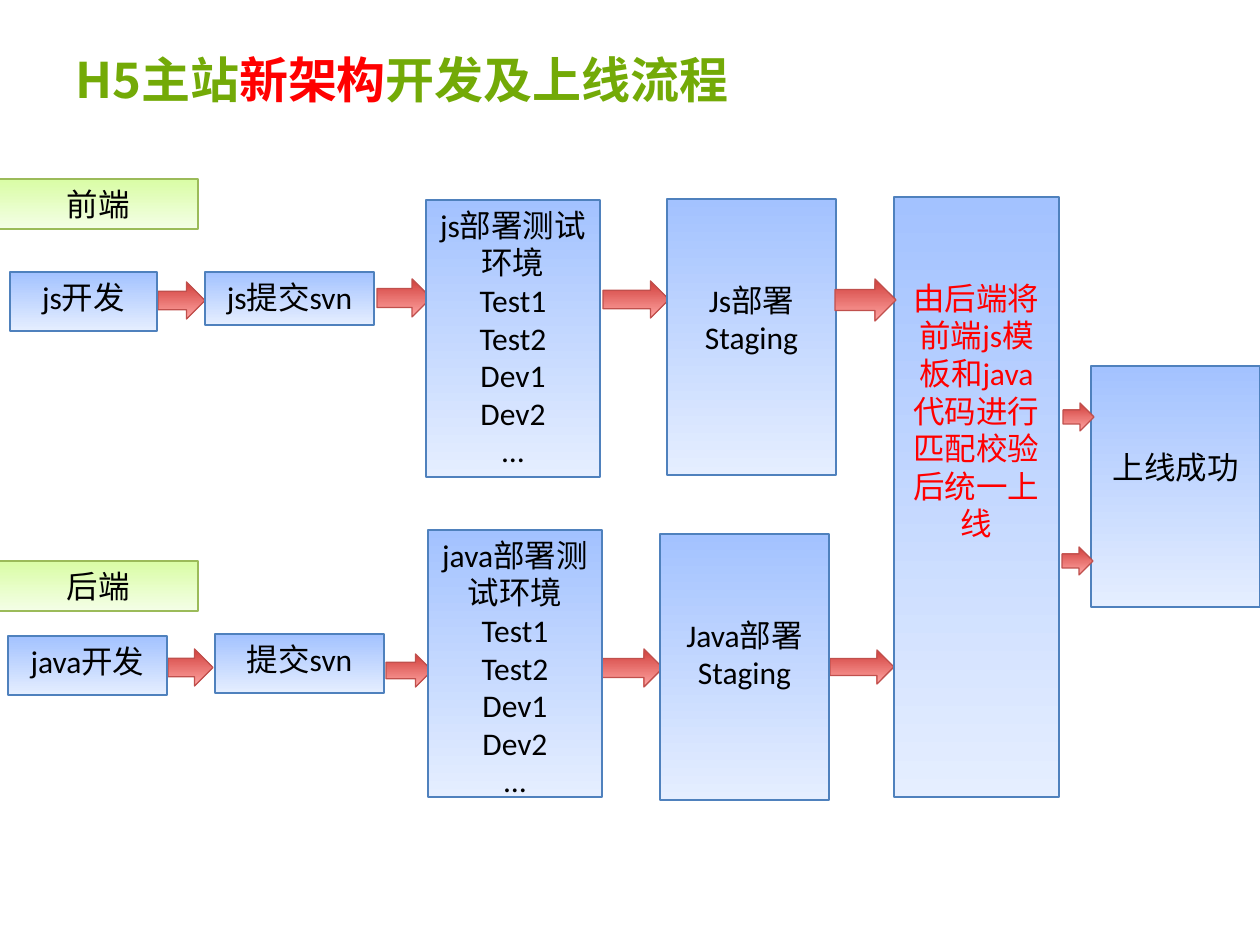
import itertools

import pptx
import pptx.dml.color
import pptx.enum.shapes
import pptx.enum.text
import pptx.oxml
import pptx.oxml.ns
import pptx.util

EMU_PER_PX = 914400 / 126
LATIN, CJK = "Calibri", "Noto Sans CJK SC"
BLACK, RED, GREEN = "000000", "FF0000", "73AA07"
# Gradient top, gradient bottom, outline
BLUE_STYLE = ("A3C2FF", "E5EEFF", "4F81BD")
GREEN_STYLE = ("D9FDA5", "F4FEE6", "9BBB59")
RED_STYLE = ("D13F3B", "FFA5A3", "C0504D")
INSET = 6
LOW_INSET = 82  # text that starts two lines lower

TITLE = [("H5主站", GREEN), ("新架构", RED), ("开发及上线流程", GREEN)]
ENVIRONMENTS = ["Test1", "Test2", "Dev1", "Dev2", "…"]

LABELS = [("前端", (-1, 179, 199, 50)), ("后端", (-1, 561, 199, 50))]

# Lines, place, top inset, text colour
STEPS = [
    (["js开发"], (10, 272, 147, 59), INSET, BLACK),
    (["js提交svn"], (205, 272, 169, 53), INSET, BLACK),
    (["js部署测试环境"] + ENVIRONMENTS, (426, 200, 174, 277), INSET, BLACK),
    (["Js部署Staging"], (667, 199, 169, 276), LOW_INSET, BLACK),
    (["由后端将前端js模板和java代码进行匹配校验后统一上线"],
     (894, 197, 165, 600), LOW_INSET, RED),
    (["java开发"], (8, 636, 159, 59), INSET, BLACK),
    (["提交svn"], (215, 634, 169, 59), INSET, BLACK),
    (["Java部署Staging"], (660, 534, 169, 266), LOW_INSET, BLACK),
    (["上线成功"], (1091, 366, 169, 241), LOW_INSET, BLACK),
    (["java部署测试环境"] + ENVIRONMENTS, (428, 530, 174, 267), INSET, BLACK),
]

ARROWS_BEHIND = [
    (158, 282, 47, 37), (377, 279, 54, 38), (603, 281, 66, 37),
    (168, 649, 45, 37), (386, 654, 46, 33), (597, 649, 66, 38),
    (830, 650, 64, 34),
]
ARROWS_IN_FRONT = [(835, 279, 61, 42), (1063, 403, 31, 28), (1062, 547, 31, 28)]


def px(*lengths):
    return [pptx.util.Emu(round(length * EMU_PER_PX)) for length in lengths]


def color(value):
    return pptx.dml.color.RGBColor.from_string(value)


def is_cjk(character):
    return ord(character) > 0x2E80


def format_run(run, font_name, size, text_color, bold=False):
    run.font.name = font_name
    run.font.size = pptx.util.Pt(size)
    run.font.bold = bold
    run.font.color.rgb = color(text_color)
    east_asian = pptx.oxml.parse_xml(
        f'<a:ea {pptx.oxml.ns.nsdecls("a")} typeface="{CJK}"/>')
    run.font._element.find(pptx.oxml.ns.qn("a:latin")).addnext(east_asian)


def prepare_frame(text_frame, top_inset=INSET):
    text_frame.word_wrap = True
    text_frame.vertical_anchor = pptx.enum.text.MSO_ANCHOR.TOP
    text_frame.margin_top = px(top_inset)[0]


def add_title(slide):
    text_frame = slide.shapes.add_textbox(*px(63, 38, 1134, 87)).text_frame
    prepare_frame(text_frame)
    paragraph = text_frame.paragraphs[0]
    paragraph.line_spacing = pptx.util.Pt(37)
    for text, text_color in TITLE:
        run = paragraph.add_run()
        run.text = text
        format_run(run, CJK, 28, text_color, bold=True)


def add_gradient_shape(slide, preset, place, style):
    top, bottom, outline = style
    shape = slide.shapes.add_shape(preset, *px(*place))
    shape.shadow.inherit = False
    shape.fill.gradient()
    shape.fill.gradient_angle = 270
    for stop, value in zip(shape.fill.gradient_stops, (top, bottom)):
        stop.color.rgb = color(value)
    shape.line.color.rgb = color(outline)
    shape.line.width = pptx.util.Pt(0.75)
    return shape


def add_box(slide, lines, place, style, top_inset=INSET, text_color=BLACK):
    shape = add_gradient_shape(
        slide, pptx.enum.shapes.MSO_SHAPE.RECTANGLE, place, style)
    text_frame = shape.text_frame
    prepare_frame(text_frame, top_inset)
    for index, line in enumerate(lines):
        paragraph = text_frame.add_paragraph() if index else text_frame.paragraphs[0]
        paragraph.alignment = pptx.enum.text.PP_ALIGN.CENTER
        paragraph.line_spacing = pptx.util.Pt(21.5)
        for cjk, characters in itertools.groupby(line, is_cjk):
            run = paragraph.add_run()
            run.text = "".join(characters)
            format_run(run, CJK if cjk else LATIN, 18, text_color)


def add_arrows(slide, places):
    for place in places:
        add_gradient_shape(
            slide, pptx.enum.shapes.MSO_SHAPE.RIGHT_ARROW, place, RED_STYLE)


def main():
    presentation = pptx.Presentation()
    presentation.slide_width, presentation.slide_height = px(1260, 945)
    slide = presentation.slides.add_slide(presentation.slide_layouts[6])
    add_title(slide)
    add_arrows(slide, ARROWS_BEHIND)
    for text, place in LABELS:
        add_box(slide, [text], place, GREEN_STYLE)
    for lines, place, top_inset, text_color in STEPS:
        add_box(slide, lines, place, BLUE_STYLE, top_inset, text_color)
    add_arrows(slide, ARROWS_IN_FRONT)
    presentation.save("out.pptx")


if __name__ == "__main__":
    main()
